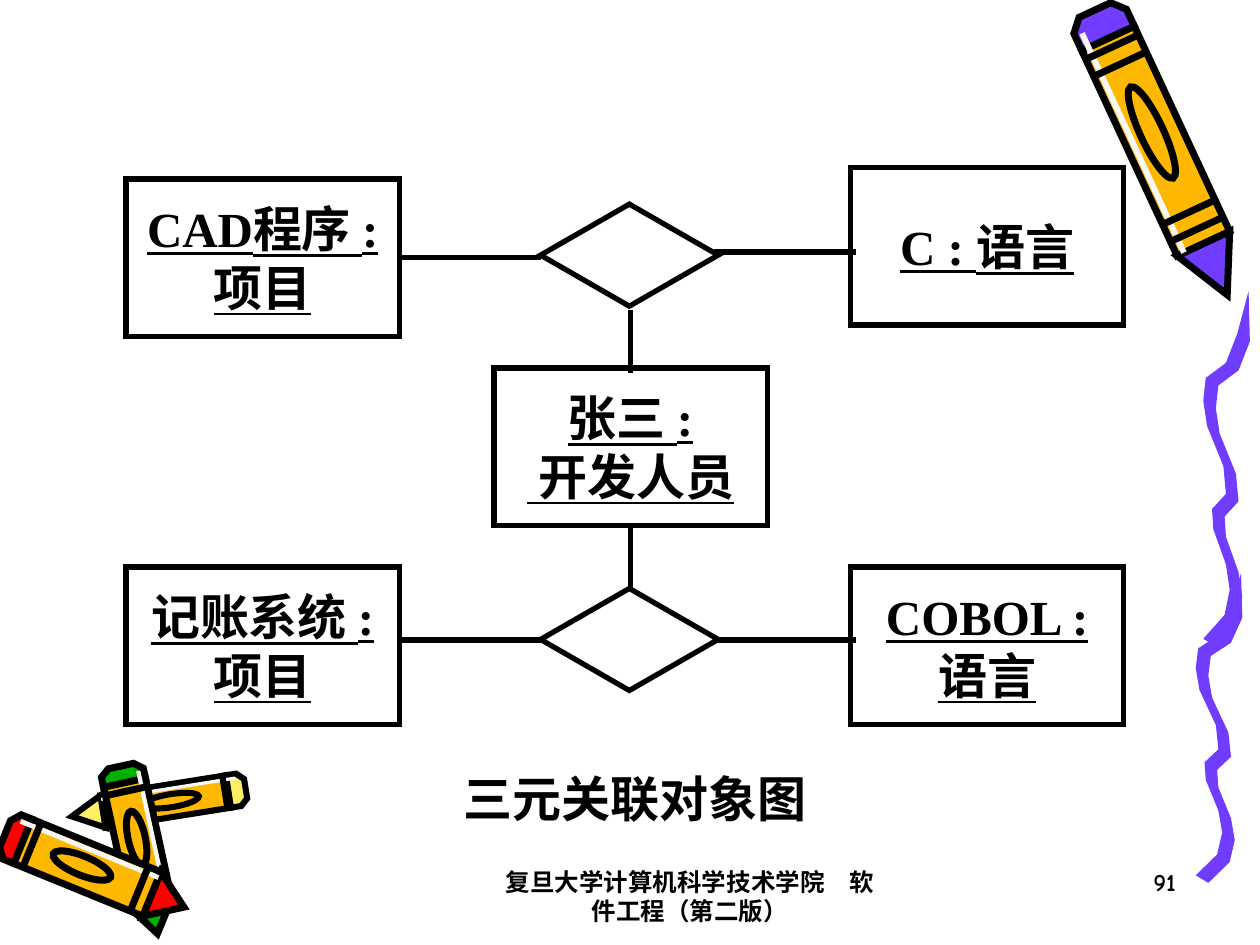
from collections import namedtuple
from math import atan2, degrees, hypot

from lxml import etree
from pptx import Presentation
from pptx.dml.color import RGBColor
from pptx.enum.shapes import MSO_CONNECTOR as CONN, MSO_SHAPE as SHAPE
from pptx.enum.text import MSO_ANCHOR as ANCHOR, PP_ALIGN as ALIGN
from pptx.oxml.ns import qn
from pptx.util import Inches, Pt

COLORS = {"black": "000000", "white": "F8F8F8", "purple": "703DFF", "orange": "FFB800",
          "yellow": "FFEF66", "red": "FF0000", "green": "00B200"}
BODY_FONT, FOOTER_FONT = "Times New Roman", "Comic Neue"

# Diagram grid, in inches
BOX_W, BOX_H = 2.17, 1.25
DIAMOND_W, DIAMOND_H = 1.41, 0.81
LEFT_X, MIDDLE_X, RIGHT_X, DIAMOND_X = 1, 3.92, 6.75, 4.29
LINK_LEFT, LINK_RIGHT, LINK_END = LEFT_X + BOX_W, 5.67, 6.79

# A crayon runs from the middle of its flat end to its tip.
# lit is the side with the highlight; bands are places along the length, 0 to 1.
Crayon = namedtuple("Crayon", "end tip width color lit bands ink")
CRAYONS = [
    Crayon((1.95, 6.26), (0.57, 6.48), 0.26, "yellow", 1, (0.12,), 3.5),
    Crayon((0.96, 6.08), (1.25, 7.41), 0.34, "green", -1, (0.15,), 4),
    Crayon((0.04, 6.62), (1.46, 7.2), 0.38, "red", -1, (0.15, 0.75), 4),
    Crayon((8.69, 0.08), (9.74, 2.34), 0.46, "purple", 1, (0.13, 0.19, 0.71, 0.77), 4),
]
CAP_END, CONE_START = 0.1, 0.82

# Centre line of one wave of the squiggle, measured from its top end
WAVE = [(0, 0), (-0.04, 0.37), (-0.13, 0.6), (-0.29, 0.72), (-0.31, 0.9), (-0.28, 1.1),
        (-0.15, 1.42), (-0.13, 1.64), (-0.24, 1.76), (-0.23, 1.92), (-0.13, 2.2),
        (-0.1, 2.4), (-0.14, 2.6), (-0.31, 2.79)]
WAVE_HALF_X, WAVE_HALF_Y = 0.05, 0.03


def rgb(name):
    return RGBColor.from_string(COLORS[name])


def ink(sp, width):
    """Give a shape a black line with sharp corners."""
    sp.line.color.rgb = rgb("black")
    sp.line.width = Pt(width)
    ln = sp._element.spPr.find(qn("a:ln"))
    etree.SubElement(ln, qn("a:miter"), lim="800000")


def add_polygon(s, points, color, line=0):
    first, *rest = [(Inches(x), Inches(y)) for x, y in points]
    builder = s.shapes.build_freeform(*first)
    builder.add_line_segments(rest, close=True)
    sp = builder.convert_to_shape()
    sp.shadow.inherit = False
    sp.fill.solid()
    sp.fill.fore_color.rgb = rgb(color)
    if line:
        ink(sp, line)
    else:
        sp.line.fill.background()


def add_node(s, kind, x, y, w, h, line=3):
    """Add an unfilled shape with a thick black line."""
    sp = s.shapes.add_shape(kind, Inches(x), Inches(y), Inches(w), Inches(h))
    sp.shadow.inherit = False
    sp.fill.background()
    ink(sp, line)
    return sp


def add_link(s, start, end, line=3):
    link = s.shapes.add_connector(CONN.STRAIGHT, *(Inches(v) for v in start + end))
    link.line.color.rgb = rgb("black")
    link.line.width = Pt(line)
    etree.SubElement(link._element.spPr, qn("a:effectLst"))
    return link


def add_crayon(s, crayon):
    (x0, y0), (x1, y1) = crayon.end, crayon.tip
    dx, dy = x1 - x0, y1 - y0
    length = hypot(dx, dy)

    def at(along, across):
        """Place a point given as shares of the crayon's length and width."""
        side = across * crayon.width / length
        return x0 + along * dx - side * dy, y0 + along * dy + side * dx

    def strip(start, end, low, high):
        return [at(start, low), at(end, low), at(end, high), at(start, high)]

    cap = [at(0, -0.3), at(0, 0.3), at(0.04, 0.5), at(CAP_END, 0.5), at(CAP_END, -0.5), at(0.04, -0.5)]
    cone = [at(CONE_START, -0.5), at(1, 0), at(CONE_START, 0.5)]
    add_polygon(s, cap, crayon.color, crayon.ink)
    add_polygon(s, cone, crayon.color, crayon.ink)
    add_polygon(s, strip(CAP_END, CONE_START, -0.5, 0.5), "orange", crayon.ink)
    add_polygon(s, strip(0.05, CONE_START, crayon.lit * 0.32, crayon.lit * 0.42), "white")
    for band in crayon.bands:
        add_link(s, at(band, -0.5), at(band, 0.5), crayon.ink)

    cx, cy = at(0.43, 0)
    w, h = 0.32 * length, 0.4 * crayon.width
    badge = add_node(s, SHAPE.OVAL, cx - w / 2, cy - h / 2, w, h, crayon.ink)
    badge.rotation = degrees(atan2(dy, dx))


def add_wave(s, x, y, stretch):
    """Add a ribbon that starts at a point and widens along WAVE."""
    centre = [(x + dx, y + dy * stretch) for dx, dy in WAVE]
    left = [(cx - WAVE_HALF_X, cy - WAVE_HALF_Y) for cx, cy in centre[1:]]
    right = [(cx + WAVE_HALF_X, cy + WAVE_HALF_Y) for cx, cy in centre[1:]]
    add_polygon(s, centre[:1] + right + left[::-1], "purple")


def write(tf, lines, size, font, align=ALIGN.CENTER, underline=None):
    for i, line in enumerate(lines):
        p = tf.add_paragraph() if i else tf.paragraphs[0]
        p.alignment = align
        p._p.get_or_add_pPr().set("hangingPunct", "0")
        r = p.add_run()
        r.text = line
        r.font.size, r.font.name = Pt(size), font
        r.font.bold, r.font.underline = True, underline
        r.font.color.rgb = rgb("black")


def add_label(s, x, y, w, text, size, font, align=ALIGN.CENTER, wrap=True, anchor=ANCHOR.TOP):
    tf = s.shapes.add_textbox(Inches(x), Inches(y), Inches(w), Inches(0.5)).text_frame
    tf.word_wrap = wrap
    tf.vertical_anchor = anchor
    write(tf, [text], size, font, align)


def add_object(s, x, y, *lines):
    sp = add_node(s, SHAPE.RECTANGLE, x, y, BOX_W, BOX_H)
    sp.text_frame.word_wrap = True
    sp.text_frame.vertical_anchor = ANCHOR.MIDDLE
    write(sp.text_frame, lines, 28, BODY_FONT, underline=True)
    return sp


def add_diagram(s):
    cad_y, developer_y, lower_y = 1.42, 2.92, 4.5
    cad = add_object(s, LEFT_X, cad_y, "CAD程序 : 项目")
    add_object(s, RIGHT_X, 1.33, "C : 语言")
    add_object(s, LEFT_X, lower_y, "记账系统 : 项目")
    add_object(s, RIGHT_X, lower_y, "COBOL : 语言")
    developer = add_object(s, MIDDLE_X, developer_y, "张三 :", " 开发人员")

    upper_diamond, lower_diamond = 1.62, 4.67
    for y in (upper_diamond, lower_diamond):
        add_node(s, SHAPE.FLOWCHART_DECISION, DIAMOND_X, y, DIAMOND_W, DIAMOND_H)

    cad_middle, lower_link = cad_y + BOX_H / 2, 5.08
    centre = MIDDLE_X + BOX_W / 2
    add_link(s, (DIAMOND_X, cad_middle), (LINK_LEFT, cad_middle)).end_connect(cad, 3)
    add_link(s, (DIAMOND_X, lower_link), (LINK_LEFT, lower_link))
    for y in (2, lower_link):
        add_link(s, (LINK_END, y), (LINK_RIGHT, y))
    add_link(s, (centre, 2.96), (centre, 2.46))
    add_link(s, (centre, lower_diamond), (centre, developer_y + BOX_H)).end_connect(developer, 2)

    add_label(s, 3.33, 6.08, 3.42, "三元关联对象图", 28, BODY_FONT, wrap=False, anchor=ANCHOR.MIDDLE)


def main():
    prs = Presentation()
    prs.slide_width, prs.slide_height = Inches(10), Inches(7.5)
    s = prs.slides.add_slide(prs.slide_layouts[6])

    for crayon in CRAYONS:
        add_crayon(s, crayon)
    add_wave(s, 9.85, 4.55, 0.87)
    add_wave(s, 9.91, 2.31, 1)

    add_label(s, 3.89, 6.83, 3.17, "复旦大学计算机科学技术学院　软件工程（第二版）", 14, FOOTER_FONT)
    add_label(s, 7.35, 6.83, 2.08, "91", 14, FOOTER_FONT, ALIGN.RIGHT)
    add_diagram(s)
    prs.save("out.pptx")


if __name__ == "__main__":
    main()
